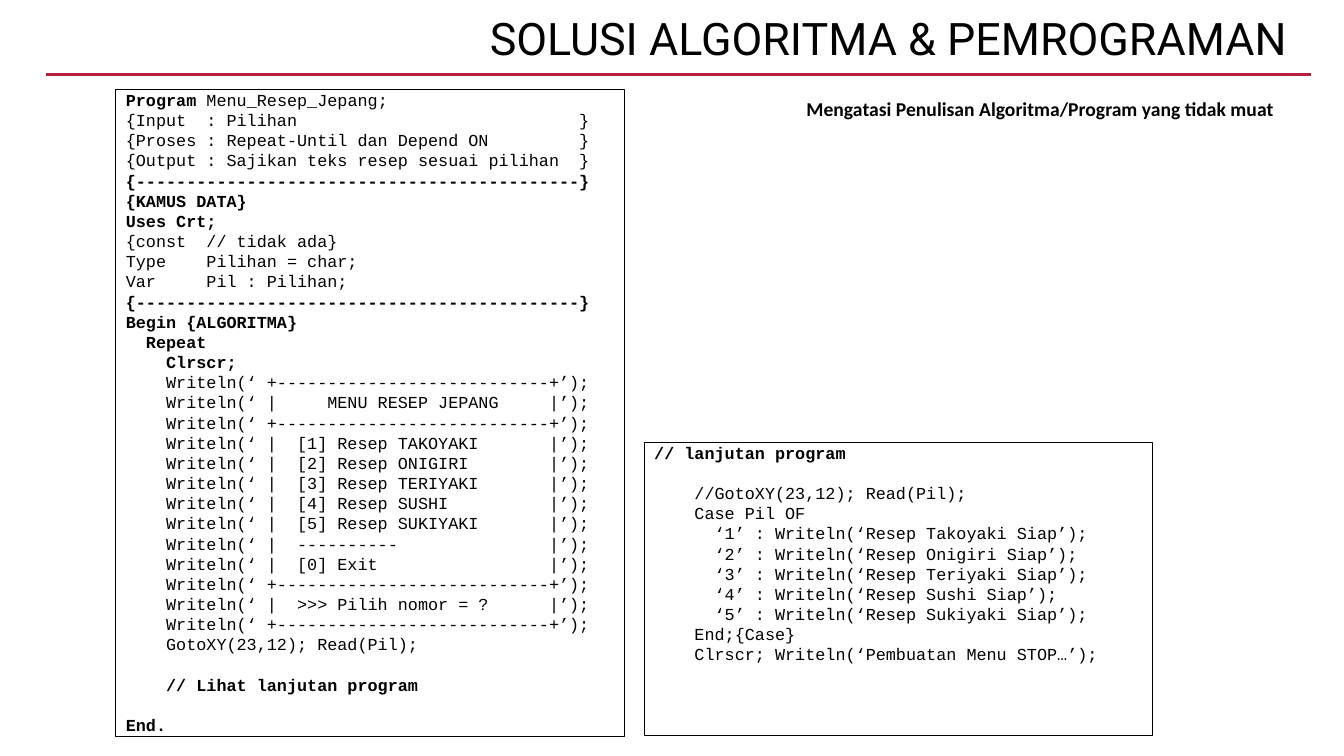
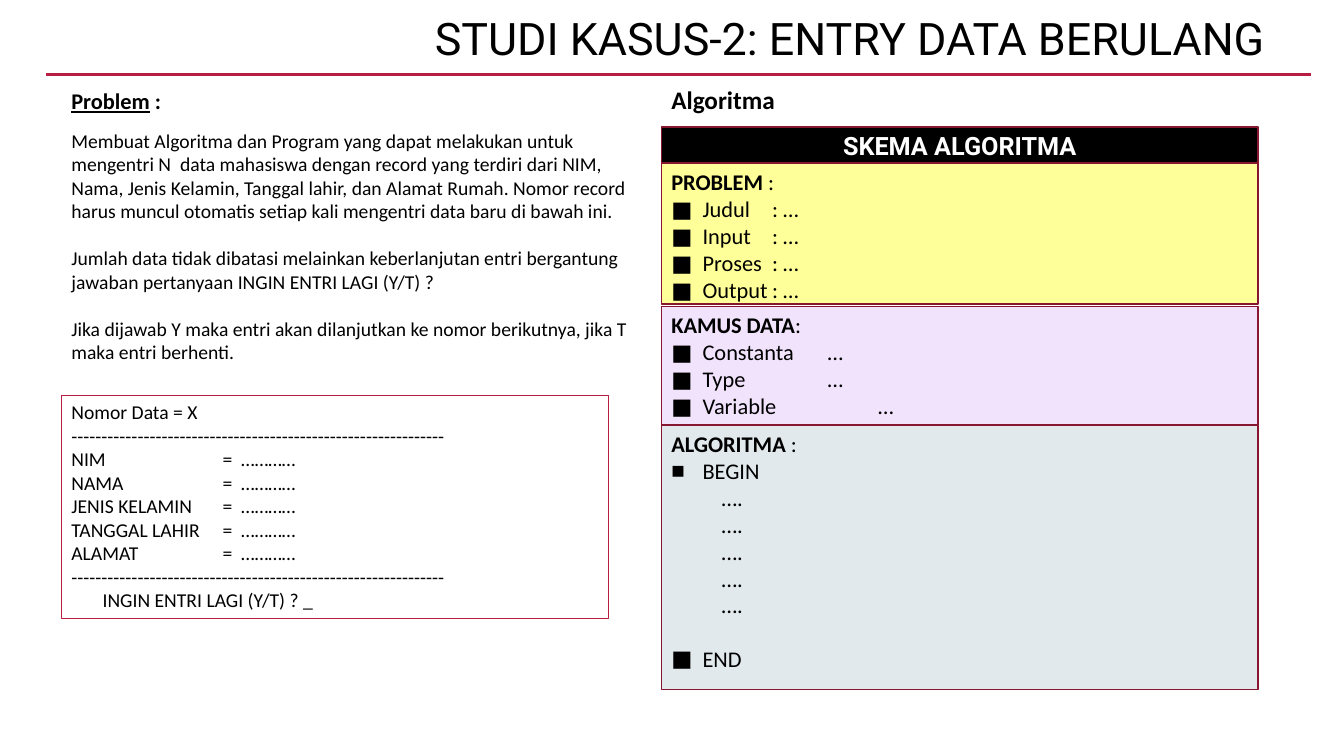
from dataclasses import dataclass

from lxml import etree
from pptx import Presentation
from pptx.dml.color import RGBColor
from pptx.enum.shapes import MSO_CONNECTOR, MSO_SHAPE
from pptx.enum.text import MSO_ANCHOR, MSO_AUTO_SIZE, PP_ALIGN
from pptx.oxml.ns import qn
from pptx.util import Pt

EMU_PER_PX = 9144
PAGE_WIDTH, PAGE_HEIGHT = 1333, 750
TITLE_ONLY = 5
RECTANGLE = MSO_SHAPE.RECTANGLE
STRAIGHT = MSO_CONNECTOR.STRAIGHT
TOP, MIDDLE = MSO_ANCHOR.TOP, MSO_ANCHOR.MIDDLE
LEFT, CENTER, RIGHT = PP_ALIGN.LEFT, PP_ALIGN.CENTER, PP_ALIGN.RIGHT
NO_FIT, GROW = MSO_AUTO_SIZE.NONE, MSO_AUTO_SIZE.SHAPE_TO_FIT_TEXT


@dataclass(frozen=True)
class Theme:
    ink: str = "000000"
    paper: str = "FFFFFF"
    accent: str = "B71E42"
    frame: str = "871631"
    yellow: str = "FFFF99"
    lilac: str = "F2E3FC"
    mist: str = "E1E9EC"
    title_font: str = "Roboto"
    body_font: str = "Calibri"
    code_font: str = "Courier New"
    title_size: int = 32
    large_size: int = 18
    heading_size: int = 16
    body_size: int = 14
    code_size: int = 12
    line_pitch: float = 1.2
    rule_width: float = 2.5
    frame_width: float = 1.25
    thin_width: float = 0.75


THEME = Theme()


def px(length):
    return length * EMU_PER_PX


def rgb(code):
    return RGBColor.from_string(code)


def add_span(para, text, size=THEME.body_size, font=THEME.body_font,
             color=THEME.ink, bold=False, underline=False):
    span = para.add_run()
    span.text = text
    span.font.size = Pt(size)
    span.font.name = font
    span.font.color.rgb = rgb(color)
    span.font.bold = bold
    span.font.underline = underline


def add_bullet(para, symbol, font):
    properties = para._p.get_or_add_pPr()
    etree.SubElement(properties, qn("a:buFont")).set("typeface", font)
    etree.SubElement(properties, qn("a:buChar")).set("char", symbol)


def add_tab(para, position):
    tabs = etree.SubElement(para._p.get_or_add_pPr(), qn("a:tabLst"))
    tab = etree.SubElement(tabs, qn("a:tab"))
    tab.set("pos", str(px(position)))
    tab.set("algn", "l")


class Deck:
    def __init__(self, theme):
        self.theme = theme
        self.file = Presentation()
        self.file.slide_width = px(PAGE_WIDTH)
        self.file.slide_height = px(PAGE_HEIGHT)
        self.layout = self.file.slide_layouts[TITLE_ONLY]
        self.page = None

    def add_page(self, title, left, width):
        first = self.page is None
        self.page = self.file.slides.add_slide(self.layout)
        if first:
            self.add_title_rule()
        box = self.page.shapes.title
        box.left, box.top = px(left), px(12)
        box.width, box.height = px(width), px(69)
        self.set_frame(box, TOP)
        para = self.put_text(box, title, size=self.theme.title_size,
                             font=self.theme.title_font, align=RIGHT)
        para.line_spacing = 0.9

    def add_title_rule(self):
        rule = self.page.shapes.add_connector(
            STRAIGHT, px(46), px(74), px(1300), px(74))
        rule.line.color.rgb = rgb(self.theme.accent)
        rule.line.width = Pt(self.theme.rule_width)
        etree.SubElement(rule.element.spPr, qn("a:effectLst"))
        self.layout.shapes.element.append(rule.element)

    def set_frame(self, box, anchor, fit=NO_FIT, side=10, edge=5):
        frame = box.text_frame
        frame.word_wrap = True
        frame.auto_size = fit
        frame.vertical_anchor = anchor
        frame.margin_left = frame.margin_right = px(side)
        frame.margin_top = frame.margin_bottom = px(edge)

    def text_box(self, left, top, width, height, anchor=TOP, fit=NO_FIT):
        box = self.page.shapes.add_textbox(
            px(left), px(top), px(width), px(height))
        self.set_frame(box, anchor, fit)
        return box

    def panel(self, left, top, width, height, line, weight, fill=None,
              anchor=TOP, fit=NO_FIT, edge=5):
        box = self.page.shapes.add_shape(
            RECTANGLE, px(left), px(top), px(width), px(height))
        box.shadow.inherit = False
        if fill:
            box.fill.solid()
            box.fill.fore_color.rgb = rgb(fill)
        else:
            box.fill.background()
        box.line.color.rgb = rgb(line)
        box.line.width = Pt(weight)
        self.set_frame(box, anchor, fit, edge=edge)
        return box

    def put_text(self, box, text, align=LEFT, before=0, after=0, left=0,
                 hang=0, tab=0, bullet_font=None, bold=False, **style):
        frame = box.text_frame
        para = frame.add_paragraph() if frame.text else frame.paragraphs[0]
        para.alignment = align
        para.space_before, para.space_after = Pt(before), Pt(after)
        if left:
            properties = para._p.get_or_add_pPr()
            properties.set("marL", str(px(left)))
            properties.set("indent", str(-px(hang)))
        if bullet_font:
            add_bullet(para, "■", bullet_font)
        if tab:
            add_tab(para, tab)
        for index, part in enumerate(text.split("**")):
            if part:
                add_span(para, part, bold=bold or index % 2 == 1, **style)
        return para

    def put_lines(self, box, lines, size, **style):
        gap = 0
        for line in lines:
            if line:
                self.put_text(box, line, before=gap, size=size, **style)
                gap = 0
            else:
                gap += size * self.theme.line_pitch

    def code_panel(self, left, top, height, lines):
        box = self.panel(left, top, 504, height, self.theme.ink,
                         self.theme.thin_width, self.theme.paper, edge=0)
        self.put_lines(box, lines, self.theme.code_size,
                       font=self.theme.code_font)

    def caption(self, left, top, width, text, size):
        box = self.text_box(left, top, width, 37, MIDDLE)
        self.put_text(box, text, before=6, after=6, size=size, bold=True)

    def schema_panel(self, top, height, fill, anchor=TOP):
        return self.panel(656, top, 592, height, self.theme.frame,
                          self.theme.frame_width, fill, anchor)


DISHES = ["Takoyaki", "Onigiri", "Teriyaki", "Sushi", "Sukiyaki"]


def menu_program():
    divider = "**{" + "-" * 44 + "}**"
    border = "+" + "-" * 27 + "+"
    choices = [f"  [{number}] Resep {dish.upper()}"
               for number, dish in enumerate(DISHES, 1)]
    choices += ["  " + "-" * 10, "  [0] Exit"]
    menu = [border, f"|{'MENU RESEP JEPANG':^27}|", border]
    menu += [f"|{choice:<27}|" for choice in choices]
    menu += [border, f"|{'  >>> Pilih nomor = ?':<27}|", border]
    return [
        "**Program** Menu_Resep_Jepang;",
        "{Input  : Pilihan                            }",
        "{Proses : Repeat-Until dan Depend ON         }",
        "{Output : Sajikan teks resep sesuai pilihan  }",
        divider,
        "**{KAMUS DATA}**",
        "**Uses Crt;**",
        "{const  // tidak ada}",
        "Type    Pilihan = char;",
        "Var     Pil : Pilihan;",
        divider,
        "**Begin {ALGORITMA}**",
        "**  Repeat**",
        "**    Clrscr;**",
        *[f"    Writeln(‘ {row}’);" for row in menu],
        "    GotoXY(23,12); Read(Pil);",
        "",
        "**    // Lihat lanjutan program**",
        "",
        "**End.**",
    ]


def case_program():
    return [
        "**// lanjutan program**",
        "",
        "    //GotoXY(23,12); Read(Pil);",
        "    Case Pil OF",
        *[f"      ‘{number}’ : Writeln(‘Resep {dish} Siap’);"
          for number, dish in enumerate(DISHES, 1)],
        "    End;{Case}",
        "    Clrscr; Writeln(‘Pembuatan Menu STOP…’);",
    ]


def build_solution(deck):
    deck.add_page("SOLUSI ALGORITMA & PEMROGRAMAN", 45, 1242)
    deck.code_panel(115, 89, 642, menu_program())
    deck.caption(790, 89, 493,
                 "Mengatasi Penulisan Algoritma/Program yang tidak muat",
                 THEME.body_size)
    deck.code_panel(639, 439, 291, case_program())


def build_problem(deck):
    box = deck.text_box(61, 82, 590, 310, fit=GROW)
    heading = deck.put_text(box, "Problem", size=THEME.heading_size,
                            bold=True, underline=True)
    add_span(heading, " :", size=THEME.heading_size, bold=True)
    deck.put_text(
        box, "Membuat Algoritma dan Program yang dapat melakukan untuk "
        "mengentri N  data mahasiswa dengan record yang terdiri dari "
        "NIM, Nama, Jenis Kelamin, Tanggal lahir, dan Alamat Rumah. "
        "Nomor record harus muncul otomatis setiap kali mengentri data "
        "baru di bawah ini.", before=10)
    deck.put_lines(box, [
        "",
        "Jumlah data tidak dibatasi melainkan keberlanjutan entri bergantung "
        "jawaban pertanyaan INGIN ENTRI LAGI (Y/T) ?",
        "",
        "Jika dijawab Y maka entri akan dilanjutkan ke nomor berikutnya, "
        "jika T maka entri berhenti.",
    ], THEME.body_size)


def build_entry_form(deck):
    box = deck.panel(61, 392, 543, 222, THEME.accent, THEME.thin_width,
                     fit=GROW)
    divider = "-" * 62
    fields = ["NIM", "NAMA", "JENIS KELAMIN", "TANGGAL LAHIR", "ALAMAT"]
    deck.put_lines(box, ["Nomor Data = X", divider], THEME.body_size)
    deck.put_lines(box, [f"{field}\t=  …………" for field in fields],
                   THEME.body_size, tab=150)
    deck.put_text(box, divider)
    deck.put_text(box, "INGIN ENTRI LAGI (Y/T) ? _", left=31)


def build_schema(deck):
    size = THEME.heading_size
    problem = deck.schema_panel(162, 140, THEME.yellow)
    deck.put_text(problem, "**PROBLEM** :", size=size)
    deck.put_lines(problem, [f"■  {item}\t: …" for item in
                             ("Judul", "Input", "Proses", "Output")],
                   size, tab=100)

    data = deck.schema_panel(304, 118, THEME.lilac)
    deck.put_text(data, "**KAMUS DATA**:", size=size)
    for item, tab in (("Constanta", 150), ("Type", 150), ("Variable", 200)):
        deck.put_text(data, f"■  {item}\t …", size=size, tab=tab)

    steps = deck.schema_panel(422, 262, THEME.mist)
    deck.put_text(steps, "**ALGORITMA** :", size=size)
    deck.put_text(steps, "BEGIN", size=size, left=31, hang=31,
                  bullet_font="Arial")
    deck.put_lines(steps, ["…."] * 5, size, left=50)
    deck.put_text(steps, "END", size=size, left=31, hang=31,
                  before=size * THEME.line_pitch,
                  bullet_font=THEME.body_font)

    header = deck.schema_panel(126, 36, THEME.ink, MIDDLE)
    deck.put_text(header, "SKEMA ALGORITMA", align=CENTER, bold=True,
                  size=THEME.large_size, font=THEME.title_font,
                  color=THEME.paper)
    deck.caption(656, 80, 141, "Algoritma", THEME.large_size)


def main():
    deck = Deck(THEME)
    build_solution(deck)
    deck.add_page("STUDI KASUS-2: ENTRY DATA BERULANG", 77, 1188)
    build_problem(deck)
    build_entry_form(deck)
    build_schema(deck)
    deck.file.save("out.pptx")


if __name__ == "__main__":
    main()
